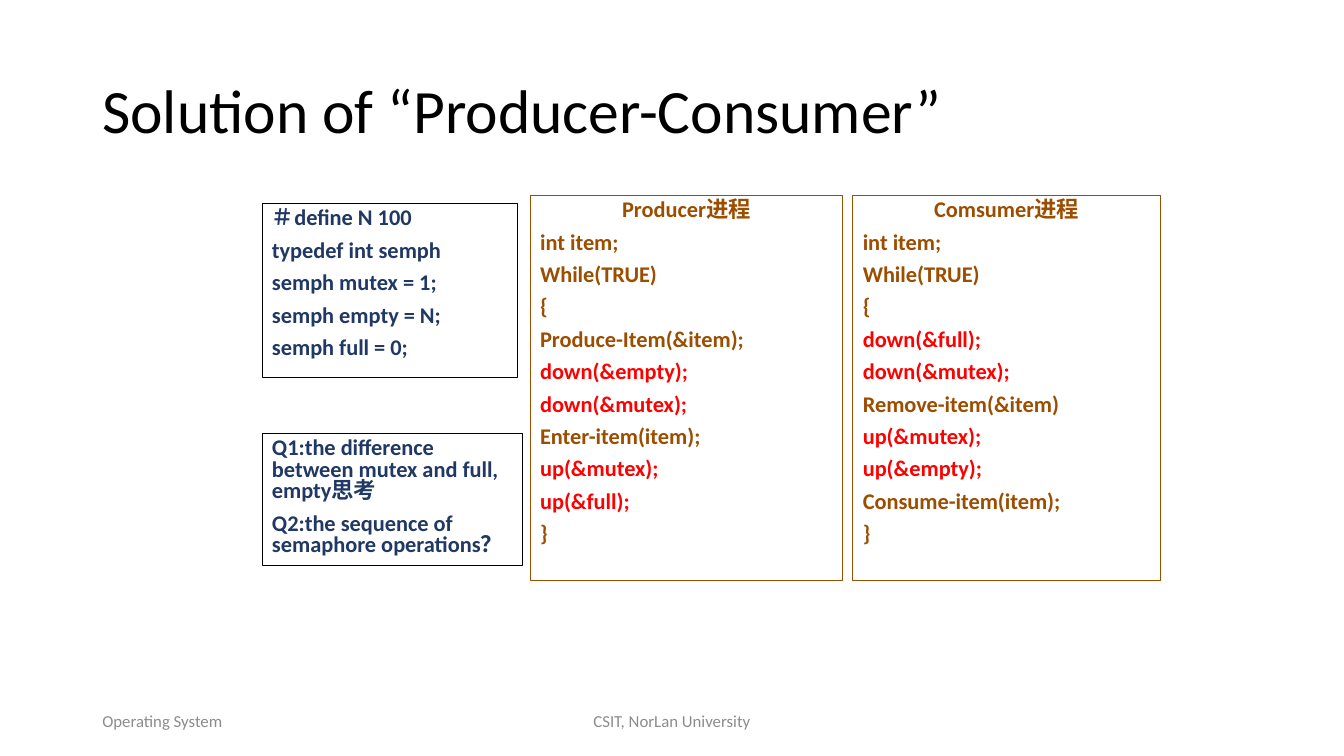
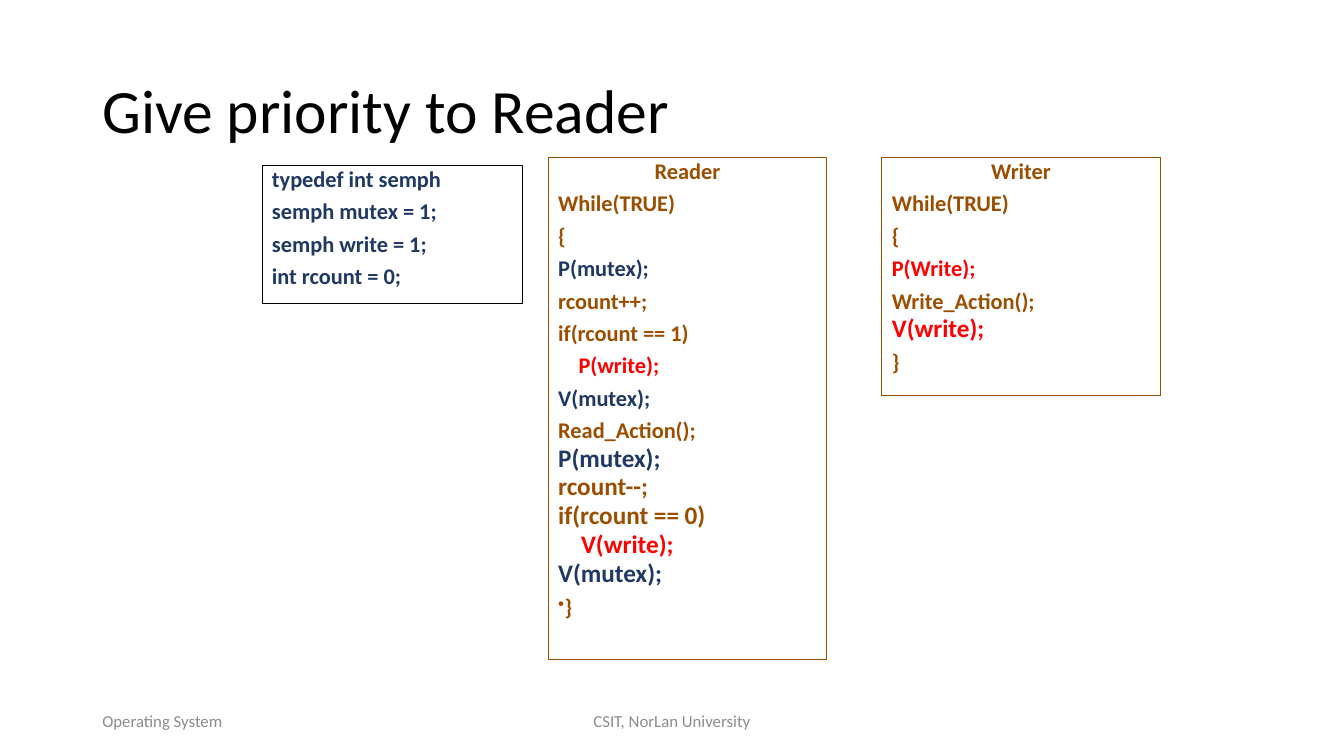
from pptx import Presentation
from pptx.dml.color import RGBColor
from pptx.enum.shapes import MSO_SHAPE
from pptx.enum.text import MSO_ANCHOR, PP_ALIGN
from pptx.oxml.ns import qn
from pptx.util import Pt
from lxml import etree

RECT = MSO_SHAPE.RECTANGLE
TOP, MIDDLE = MSO_ANCHOR.TOP, MSO_ANCHOR.MIDDLE
LEFT, CENTER = PP_ALIGN.LEFT, PP_ALIGN.CENTER

FONT = "Calibri"
COLORS = {
    "black": "000000",
    "gray": "8C8C8C",
    "brown": "9C4E00",
    "navy": "203864",
    "red": "FF0000",
}
TITLE_BOX = (66, 28.8, 828, 104.4)
COURSE_BOX = (66, 500.5, 216, 28.8)
SCHOOL_BOX = (318, 500.5, 324, 28.8)
BIG = {"size": 18, "before": 3.3}


def rgb(name):
    return RGBColor.from_string(COLORS[name])


def add_bullet(p, char, percent):
    pPr = p._p.get_or_add_pPr()
    etree.SubElement(pPr, qn("a:buSzPct")).set("val", str(percent * 1000))
    etree.SubElement(pPr, qn("a:buChar")).set("char", char)


def write(p, text, size=16, color="black", bold=False, align=LEFT,
          spacing=1.0, before=0, indent=0, bullet=None):
    p.alignment = align
    p.line_spacing = spacing
    p.space_before = Pt(before)
    pPr = p._p.get_or_add_pPr()
    pPr.set("marL", str(Pt(indent)))
    pPr.set("indent", "0")
    if bullet:
        add_bullet(p, bullet, 80)
    r = p.add_run()
    r.text = text
    r.font.name = FONT
    r.font.size = Pt(size)
    r.font.bold = bold
    r.font.color.rgb = rgb(color)


def add_label(s, box, text, **fmt):
    tf = s.shapes.add_textbox(*map(Pt, box)).text_frame
    tf.word_wrap = True
    tf.vertical_anchor = MIDDLE
    write(tf.paragraphs[0], text, **fmt)


def add_code_box(s, box, lines, color="navy", outline="black", heading=None):
    sp = s.shapes.add_shape(RECT, *map(Pt, box))
    sp.shadow.inherit = False
    sp.fill.background()
    sp.line.color.rgb = rgb(outline)
    sp.line.width = Pt(0.75)
    tf = sp.text_frame
    tf.word_wrap = True
    tf.vertical_anchor = TOP
    rows = [(heading, {"align": CENTER})] if heading else []
    rows += [(row, {}) if isinstance(row, str) else row for row in lines]
    for i, (text, fmt) in enumerate(rows):
        p = tf.add_paragraph() if i else tf.paragraphs[0]
        base = {"color": color, "bold": True, "spacing": 0.8,
                "before": 7.8 if i else 0}
        write(p, text, **{**base, **fmt})


def add_process_box(s, box, heading, lines):
    add_code_box(s, box, lines, color="brown", outline="brown",
                 heading=heading)


def add_base_slide(prs, title):
    s = prs.slides.add_slide(prs.slide_layouts[6])
    add_label(s, TITLE_BOX, title, size=44, spacing=0.9)
    add_label(s, COURSE_BOX, "Operating System", size=12, color="gray")
    add_label(s, SCHOOL_BOX, "CSIT, NorLan University", size=12,
              color="gray", align=CENTER)
    return s


def red(text, **fmt):
    return text, {"color": "red", **fmt}


def navy(text, **fmt):
    return text, {"color": "navy", **fmt}


def add_producer_consumer(prs):
    s = add_base_slide(prs, "Solution of “Producer-Consumer”")
    add_code_box(s, (187.2, 145.6, 182.2, 123.8), [
        "＃define N 100", "typedef int semph", "semph mutex = 1;",
        "semph empty = N;", "semph full = 0;"])
    add_code_box(s, (187.2, 309.6, 185.8, 94.3), [
        "Q1:the difference between mutex and full, empty思考",
        "Q2:the sequence of semaphore operations？"])
    opening = ["int item;", "While(TRUE)", "{"]
    add_process_box(s, (378.7, 139.6, 223.2, 275), "Producer进程", opening + [
        "Produce-Item(&item);", red("down(&empty);"), red("down(&mutex);"),
        "Enter-item(item);", red("up(&mutex);"), red("up(&full);"), "}"])
    add_process_box(s, (609.2, 139.6, 219.6, 275), "Comsumer进程", opening + [
        red("down(&full);"), red("down(&mutex);"), "Remove-item(&item)",
        red("up(&mutex);"), red("up(&empty);"), "Consume-item(item);", "}"])


def add_reader_priority(prs):
    s = add_base_slide(prs, "Give priority to Reader")
    add_code_box(s, (187.2, 118, 185.8, 98.6), [
        "typedef int semph", "semph mutex = 1;", "semph write = 1;",
        "int rcount = 0;"])
    opening = ["While(TRUE)", "{"]
    add_process_box(s, (391.7, 112.3, 198.7, 358.6), "Reader", opening + [
        navy("P(mutex);"), "rcount++;", "if(rcount == 1)",
        red("P(write);", indent=14.5), navy("V(mutex);"), "Read_Action();",
        navy("P(mutex);", **BIG), ("rcount--;", BIG),
        ("if(rcount == 0)", BIG), red("V(write);", indent=16.3, **BIG),
        navy("V(mutex);", **BIG), ("}", {"bullet": "•"})])
    add_process_box(s, (630, 112.3, 198.7, 170.6), "Writer", opening + [
        red("P(Write);"), "Write_Action();", red("V(write);", **BIG), "}"])


def main():
    prs = Presentation()
    prs.slide_width, prs.slide_height = Pt(960), Pt(540)
    add_producer_consumer(prs)
    add_reader_priority(prs)
    prs.save("out.pptx")


if __name__ == "__main__":
    main()
